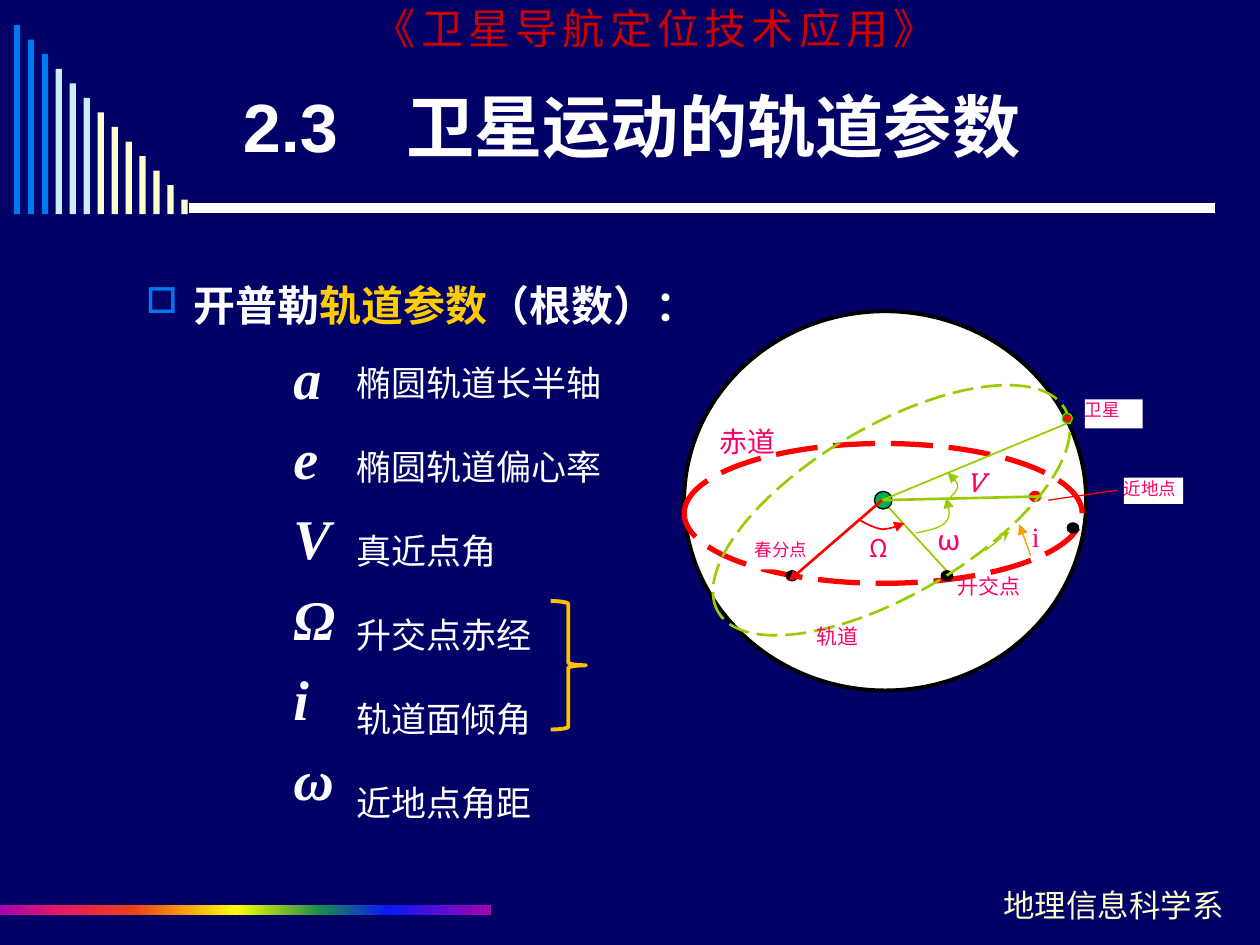
from dataclasses import dataclass

from lxml import etree
from pptx import Presentation
from pptx.dml.color import RGBColor
from pptx.enum.dml import MSO_LINE
from pptx.enum.shapes import MSO_CONNECTOR, MSO_SHAPE
from pptx.enum.text import MSO_ANCHOR, PP_ALIGN
from pptx.oxml.ns import qn
from pptx.util import Emu, Inches, Pt

NAVY = RGBColor(0x00, 0x00, 0x66)
WHITE = RGBColor(0xFF, 0xFF, 0xFF)
BLACK = RGBColor(0x00, 0x00, 0x00)
BLUE = RGBColor(0x00, 0x78, 0xF0)
ICE = RGBColor(0xCC, 0xEC, 0xFF)
CREAM = RGBColor(0xFF, 0xFF, 0xCC)
CRIMSON = RGBColor(0xCC, 0x00, 0x00)
RED = RGBColor(0xFF, 0x00, 0x00)
PINK = RGBColor(0xFF, 0x00, 0x66)
GOLD = RGBColor(0xFF, 0xCC, 0x00)
AMBER = RGBColor(0xFF, 0xC0, 0x00)
ORANGE = RGBColor(0xFF, 0x99, 0x00)
LIME = RGBColor(0x99, 0xCC, 0x00)
GREEN = RGBColor(0x00, 0xB0, 0x50)
BRIGHT_GREEN = RGBColor(0x00, 0xFF, 0x00)
RAINBOW = [(0, "A603AB"), (12, "E81766"), (27, "EE3F17"), (48, "FFFF00"),
           (65, "1A8D48"), (79, "0819FB"), (100, "A603AB")]
CJK, SANS, SERIF, SLAB = "Noto Sans CJK SC", "Arial", "Times New Roman", "Roboto Slab"


@dataclass
class Grid:
    """A box in inches divided into columns and rows."""
    left: float
    top: float
    width: float
    height: float
    columns: int = 1
    rows: int = 1

    def point(self, column, row):
        return (Inches(self.left + column * self.width / self.columns),
                Inches(self.top + row * self.height / self.rows))

    def box(self, column=0, row=0, across=None, down=None):
        across = self.columns if across is None else across
        down = self.rows if down is None else down
        return (*self.point(column, row),
                Inches(across * self.width / self.columns),
                Inches(down * self.height / self.rows))


def add_shape(slide, kind, box, fill=None, line=None, weight=0.75):
    shape = slide.shapes.add_shape(kind, *box)
    shape.shadow.inherit = False
    if fill is None:
        shape.fill.background()
    else:
        shape.fill.solid()
        shape.fill.fore_color.rgb = fill
    if line is None:
        shape.line.fill.background()
    else:
        shape.line.color.rgb = line
        shape.line.width = Pt(weight)
    return shape


def add_arrowhead(shape, kind):
    etree.SubElement(shape.line._get_or_add_ln(), qn("a:tailEnd"), type=kind)


def add_line(slide, start, end, color, weight, head=None):
    line = slide.shapes.add_connector(MSO_CONNECTOR.STRAIGHT, *start, *end)
    line.line.color.rgb = color
    line.line.width = Pt(weight)
    if head:
        add_arrowhead(line, head)
    etree.SubElement(line._element.spPr, qn("a:effectLst"))


def add_arc(slide, grid, start, curves, color, weight):
    """Draw joined cubic curves, each (control, control, end), with an arrowhead."""
    steps, points, pen = 12, [], start
    for first, second, end in curves:
        for step in range(1, steps + 1):
            t = step / steps
            points.append(grid.point(*(
                (1 - t) ** 3 * a + 3 * (1 - t) ** 2 * t * b + 3 * (1 - t) * t * t * c + t ** 3 * d
                for a, b, c, d in zip(pen, first, second, end))))
        pen = end
    builder = slide.shapes.build_freeform(*grid.point(*start), scale=1.0)
    builder.add_line_segments(points, close=False)
    arc = builder.convert_to_shape(Emu(0), Emu(0))
    arc.shadow.inherit = False
    arc.fill.background()
    arc.line.color.rgb = color
    arc.line.width = Pt(weight)
    add_arrowhead(arc, "triangle")


def style(run, font, size, color, bold=False, italic=False):
    run.font.name, run.font.size = font, Pt(size)
    run.font.bold, run.font.italic = bold, italic
    run.font.color.rgb = color
    etree.SubElement(run._r.get_or_add_rPr(), qn("a:ea"), typeface=CJK)


def add_text(slide, box, text, font, size, color, bold=False, italic=False,
             align=PP_ALIGN.LEFT, anchor=MSO_ANCHOR.TOP):
    frame = slide.shapes.add_textbox(*box).text_frame
    frame.word_wrap = True
    frame.vertical_anchor = anchor
    frame.text = text
    for paragraph in frame.paragraphs:
        paragraph.alignment = align
        for run in paragraph.runs:
            style(run, font, size, color, bold, italic)
    return frame


def draw_staircase(slide, grid):
    colors = [BLUE] * 3 + [ICE] * 3 + [CREAM] * 7
    for step, color in enumerate(colors):
        add_shape(slide, MSO_SHAPE.RECTANGLE,
                  grid.box(step, step, 0.45, grid.rows - step), color)


def draw_header(slide, grid):
    add_line(slide, grid.point(15, 16.5), grid.point(96.4, 16.5), WHITE, 6)
    banner = add_text(slide, grid.box(28.7, -0.3, 60.7, 5), "《卫星导航定位技术应用》", CJK, 24, CRIMSON)
    banner.paragraphs[0].runs[0]._r.get_or_add_rPr().set("spc", "300")
    add_text(slide, grid.box(18.3, 4.4, 76.7, 11), "2.3　卫星运动的轨道参数",
             SANS, 39, WHITE, bold=True, anchor=MSO_ANCHOR.MIDDLE)


def draw_footer(slide, grid):
    ribbon = add_shape(slide, MSO_SHAPE.RECTANGLE, grid.box(0, 20, 39, 8))
    ribbon.fill.gradient()
    ribbon.fill.gradient_angle = 0
    stops = ribbon._element.spPr.find(".//" + qn("a:gsLst"))
    for stop in list(stops):
        stops.remove(stop)
    for position, color in RAINBOW:
        stop = etree.SubElement(stops, qn("a:gs"), pos=str(position * 1000))
        etree.SubElement(stop, qn("a:srgbClr"), val=color)
    add_text(slide, grid.box(39, 0, 59.1, 40), "地理信息科学系", SANS, 18, CREAM, align=PP_ALIGN.RIGHT)


def draw_parameters(slide, grid):
    symbols = ["a", "e", "V", "Ω", "i", "ω"]
    meanings = ["椭圆轨道长半轴", "椭圆轨道偏心率", "真近点角", "升交点赤经", "轨道面倾角", "近地点角距"]
    frame = add_text(slide, grid.box(), "\n".join(["", *symbols]), SERIF, 32, WHITE, bold=True, italic=True)
    heading, *rows = frame.paragraphs
    properties = heading._p.get_or_add_pPr()
    properties.set("marL", str(Inches(0.38)))
    properties.set("indent", str(Inches(-0.38)))
    bullet_color = etree.SubElement(properties, qn("a:buClr"))
    etree.SubElement(bullet_color, qn("a:srgbClr"), val=str(BLUE))
    etree.SubElement(properties, qn("a:buSzPct"), val="85000")
    etree.SubElement(properties, qn("a:buChar"), char="□")
    for words, color in (("开普勒", WHITE), ("轨道参数", GOLD), ("（根数）：", WHITE)):
        run = heading.add_run()
        run.text = words
        style(run, SANS, 24, color, bold=True)
    for row in rows:
        row._p.get_or_add_pPr().set("indent", str(Inches(1.17)))
        row.space_before = Pt(7.5)
    descriptions = add_text(slide, grid.box(167, 32, 500, 403), "\n".join(meanings), CJK, 20, WHITE)
    for paragraph in descriptions.paragraphs:
        paragraph.line_spacing = Pt(48)
    add_shape(slide, MSO_SHAPE.RIGHT_BRACE, grid.box(331, 260, 28, 102), line=AMBER, weight=2.25)


def draw_orbit(slide, grid):
    def oval(box, fill=None, line=BLACK, weight=0.75):
        return add_shape(slide, MSO_SHAPE.OVAL, grid.box(*box), fill, line, weight)

    def line(start, end, color, weight=0.75, head=None):
        add_line(slide, grid.point(*start), grid.point(*end), color, weight, head)

    def label(text, box, size, font=SERIF, fill=None, italic=False):
        frame = add_text(slide, grid.box(*box), text, font, size, PINK, italic=italic, align=PP_ALIGN.JUSTIFY)
        frame.margin_left = frame.margin_right = frame.margin_top = frame.margin_bottom = 0
        if fill is not None:
            holder = slide.shapes[-1]
            holder.fill.solid()
            holder.fill.fore_color.rgb = fill

    centre = (160, 157)
    oval((3, 7, 319, 301), WHITE, BLACK, 2.25)
    equator = oval((3, 105 + 7, 316, 111), WHITE, RED, 3)
    equator.line.dash_style = MSO_LINE.LONG_DASH
    label("赤道", (31, 97, 50, 29), 16)
    line(centre, (215, 217), LIME, 1)
    line((278, 201), (269, 176), ORANGE, head="triangle")
    label("i", (279, 172, 9, 23), 16, fill=WHITE)
    label("卫星", (321, 77, 46, 23), 10, fill=WHITE)
    label("近地点", (352, 139, 47, 21), 10, fill=WHITE)
    label("升交点", (220, 215, 70, 22), 12)
    label("春分点", (59, 188, 48, 24), 10, fill=WHITE)
    for column, row, color in ((304, 88, BLACK), (307, 175, BLACK), (277, 150, RED),
                               (207, 213, BLACK), (84, 213, BLACK)):
        oval((column, row, 9, 8), color, color)
    line((292, 157), (347, 149), RED)
    oval((154, 150, 14, 14), GREEN)

    line((242, 197), (261, 182), LIME, head="stealth")
    orbit = oval((8, 98, 319, 134), None, LIME, 1.5)
    orbit.rotation = 329.6
    orbit.line.dash_style = MSO_LINE.LONG_DASH
    label("轨道", (108, 255, 42, 29), 12)

    add_arc(slide, grid, (141, 172), [((148, 176), (154, 179), (160, 180)),
                                      ((166, 180), (175, 177), (178, 175))], RED, 1)
    label("Ω", (150, 183, 18, 23), 14, CJK)
    add_arc(slide, grid, (187, 183), [((197, 181), (207, 179), (211, 174)),
                                      ((215, 169), (213, 162), (211, 155))], LIME, 0.75)
    label("ω", (204, 175, 24, 23), 16, SLAB)
    line(centre, (307, 96), LIME, 1)
    line(centre, (287, 154), LIME, 1.5)
    add_arc(slide, grid, (212, 157), [((216, 153), (220, 149), (220, 146)),
                                      ((220, 142), (216, 139), (212, 135))], LIME, 0.75)
    label("V", (226, 130, 24, 23), 15, SLAB, italic=True)
    line(centre, (86, 221), RED, 1.5, "triangle")
    oval((303, 88, 8, 8), RED, BRIGHT_GREEN)


def main():
    presentation = Presentation()
    presentation.slide_width, presentation.slide_height = Inches(10), Inches(7.5)
    slide = presentation.slides.add_slide(presentation.slide_layouts[6])
    slide.background.fill.solid()
    slide.background.fill.fore_color.rgb = NAVY
    draw_header(slide, Grid(0, 0, 10, 2, 100, 20))
    draw_staircase(slide, Grid(0.11, 0.2, 1.44, 1.5, 13, 13))
    draw_footer(slide, Grid(0, 6.98, 10, 0.4, 100, 40))
    draw_orbit(slide, Grid(5.4, 2.4, 4, 4, 400, 400))
    draw_parameters(slide, Grid(1.06, 2.17, 5.2, 4.89, 520, 489))
    presentation.save("out.pptx")


if __name__ == "__main__":
    main()
